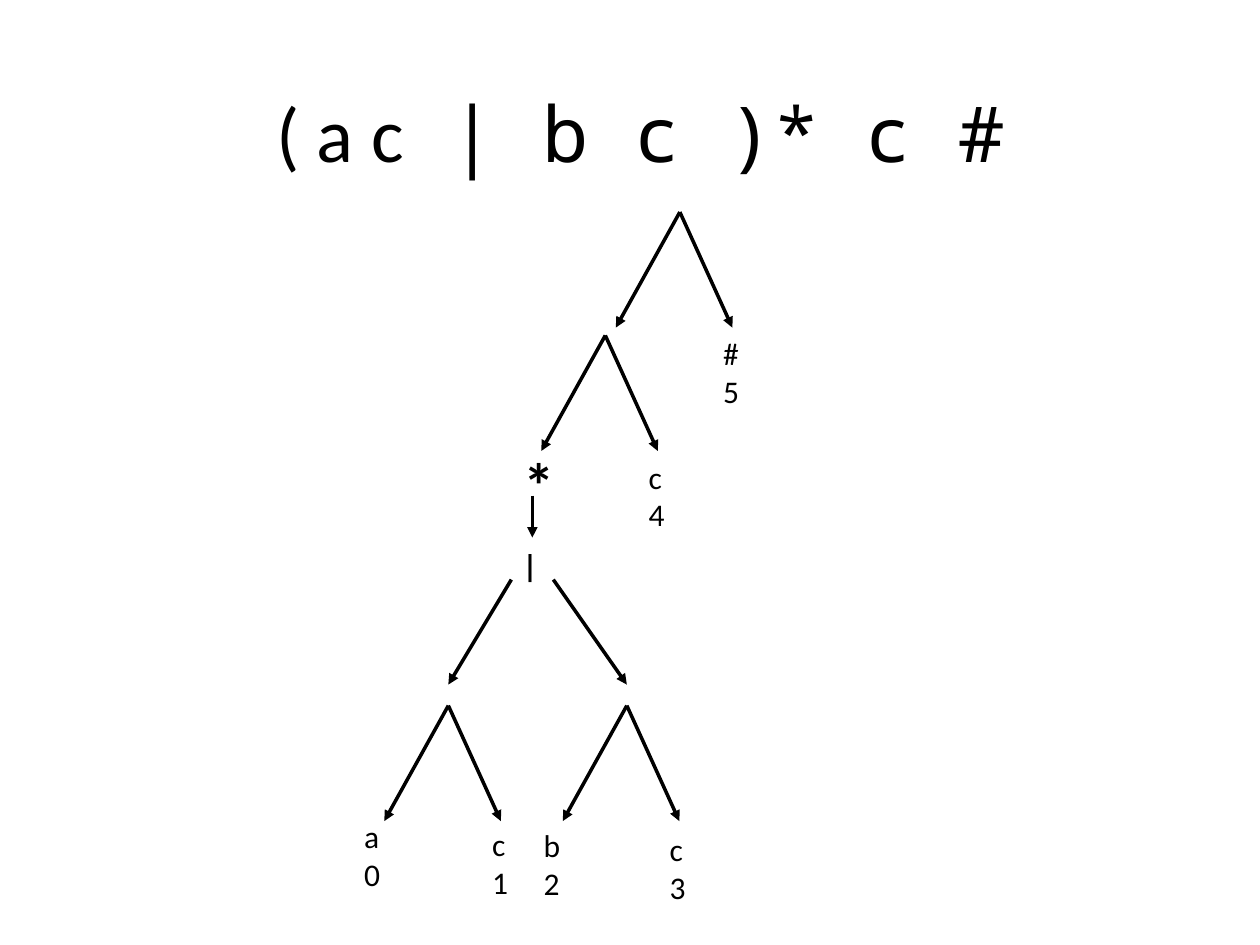
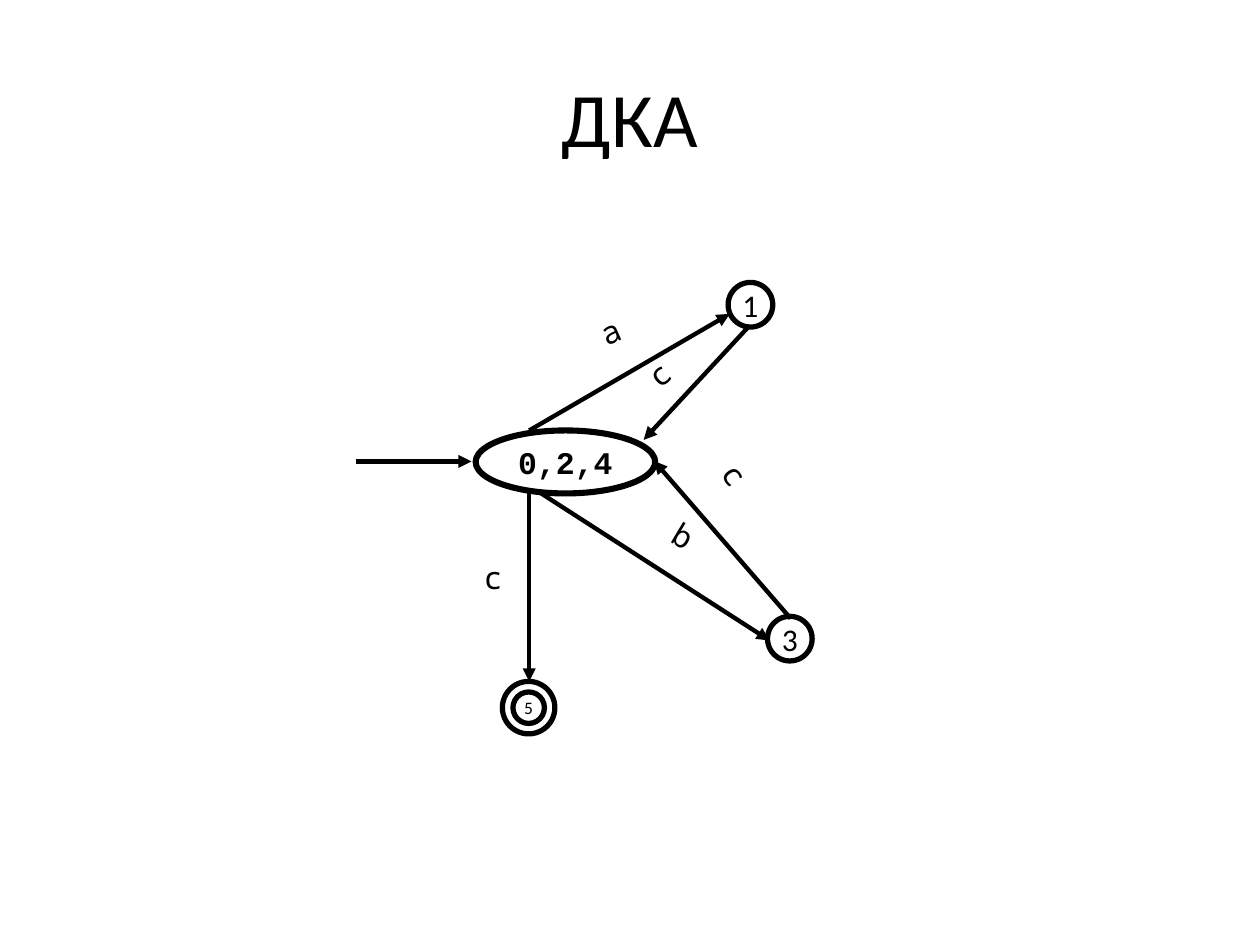
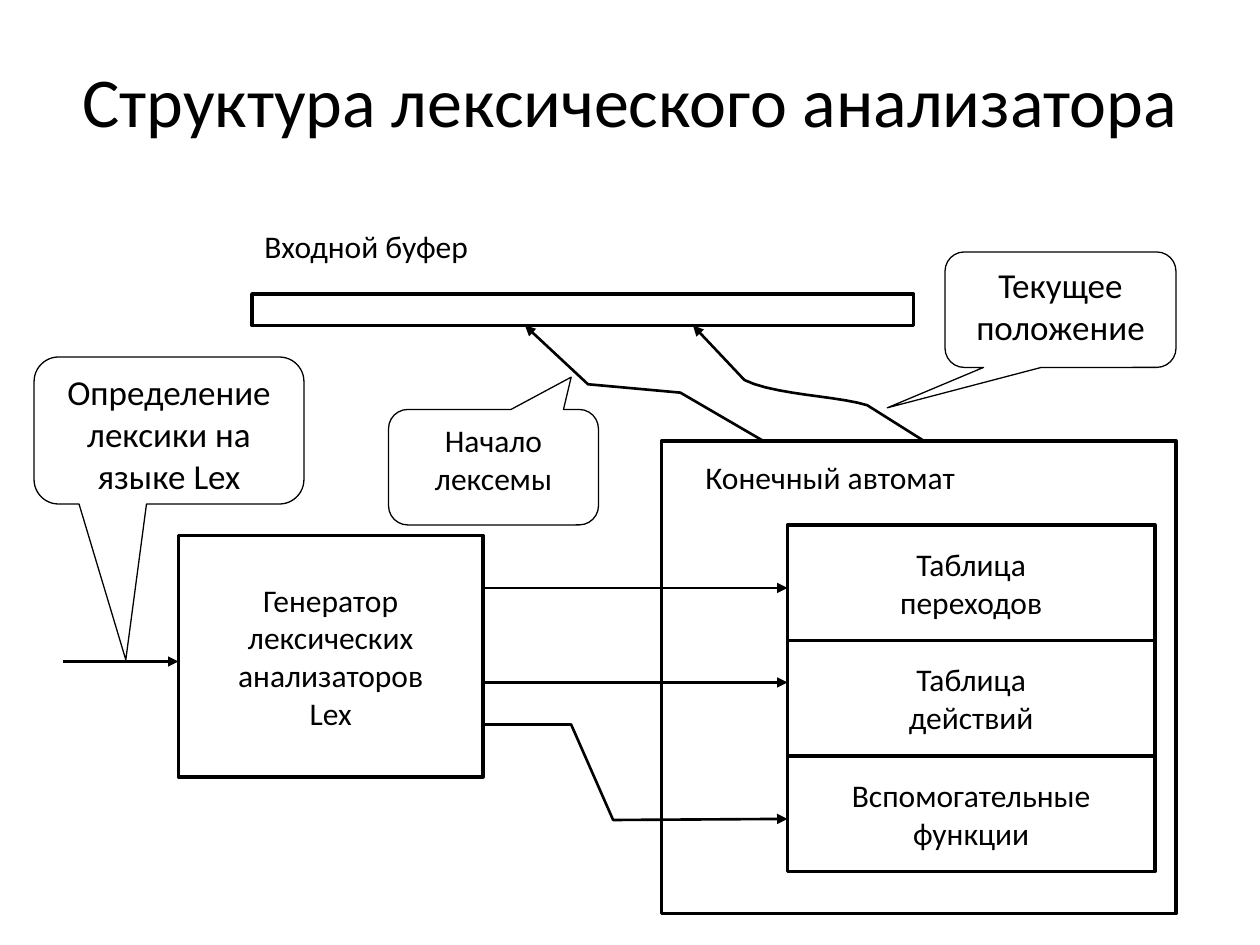
from dataclasses import dataclass

import pptx
import pptx.dml.color
import pptx.enum.shapes
import pptx.enum.text
import pptx.oxml
import pptx.oxml.ns
import pptx.util

SLIDE_WIDTH = pptx.util.Inches(10)
SLIDE_HEIGHT = pptx.util.Inches(7.5)
COLUMNS, ROWS = 120, 90
INK = "000000"
BODY_FONT = "Calibri"
MONO_FONT = "Noto Sans Mono"
STATE_FONT = "Courier New"
TITLE_WIDTH = 108
TEXT_ROWS = 4.8

Shapes = pptx.enum.shapes.MSO_SHAPE
Align = pptx.enum.text.PP_ALIGN
Anchor = pptx.enum.text.MSO_ANCHOR
Point = tuple[float, float]


@dataclass(frozen=True)
class Area:
    left: float
    top: float
    width: float
    height: float


@dataclass(frozen=True)
class Label:
    area: Area
    words: str
    size: float = 18
    font: str = BODY_FONT
    bold: bool = False
    centred: bool = False
    turn: float = 0


@dataclass(frozen=True)
class Node:
    area: Area
    words: str = ""
    kind: Shapes = Shapes.RECTANGLE
    weight: float = 2
    size: float = 18
    font: str = BODY_FONT
    bold: bool = False
    pointer: Point | None = None


@dataclass(frozen=True)
class Arrow:
    start: Point
    end: Point


def column(count: float) -> int:
    return round(SLIDE_WIDTH * count / COLUMNS)


def row(count: float) -> int:
    return round(SLIDE_HEIGHT * count / ROWS)


def frame_of(area: Area) -> tuple[int, int, int, int]:
    return column(area.left), row(area.top), column(area.width), row(area.height)


def color(code: str) -> pptx.dml.color.RGBColor:
    return pptx.dml.color.RGBColor.from_string(code)


def set_font(font, name: str, size: float, bold: bool = False) -> None:
    font.name = name
    font.size = pptx.util.Pt(size)
    font.bold = bold
    font.color.rgb = color(INK)


def set_line(shape, weight: float) -> None:
    shape.line.color.rgb = color(INK)
    shape.line.width = pptx.util.Pt(weight)


def add_head(shape) -> None:
    outline = shape.element.spPr.find(pptx.oxml.ns.qn("a:ln"))
    namespace = pptx.oxml.ns.nsdecls("a")
    outline.append(pptx.oxml.parse_xml(f'<a:tailEnd {namespace} type="triangle"/>'))


def draw_title(page, area: Area, size: float, *spans: tuple[str, str]) -> None:
    box = page.shapes.add_textbox(*frame_of(area))
    box.text_frame.word_wrap = True
    box.text_frame.vertical_anchor = Anchor.MIDDLE
    para = box.text_frame.paragraphs[0]
    para.alignment = Align.CENTER
    for words, font in spans:
        span = para.add_run()
        span.text = words
        set_font(span.font, font, size)


def draw_label(page, label: Label) -> None:
    box = page.shapes.add_textbox(*frame_of(label.area))
    box.rotation = label.turn
    box.text_frame.word_wrap = True
    para = box.text_frame.paragraphs[0]
    para.text = label.words
    para.alignment = Align.CENTER if label.centred else Align.LEFT
    set_font(para.font, label.font, label.size, label.bold)


def draw_node(page, node: Node) -> None:
    shape = page.shapes.add_shape(node.kind, *frame_of(node.area))
    shape.shadow.inherit = False
    shape.fill.background()
    set_line(shape, node.weight)
    if node.pointer:
        shape.adjustments[0], shape.adjustments[1] = node.pointer
    if not node.words:
        return
    frame = shape.text_frame
    frame.word_wrap = node.pointer is not None
    frame.vertical_anchor = Anchor.TOP if node.pointer else Anchor.MIDDLE
    para = frame.paragraphs[0]
    para.text = node.words
    para.alignment = Align.CENTER
    set_font(para.font, node.font, node.size, node.bold)


def draw_arrow(page, arrow: Arrow, weight: float) -> None:
    connector = page.shapes.add_connector(
        pptx.enum.shapes.MSO_CONNECTOR.STRAIGHT,
        column(arrow.start[0]), row(arrow.start[1]),
        column(arrow.end[0]), row(arrow.end[1]),
    )
    set_line(connector, weight)
    add_head(connector)
    namespace = pptx.oxml.ns.nsdecls("a")
    connector.element.spPr.append(pptx.oxml.parse_xml(f"<a:effectLst {namespace}/>"))


def draw_route(page, points: list[Point], weight: float) -> None:
    places = [(column(across), row(down)) for across, down in points]
    builder = page.shapes.build_freeform(*places[0])
    builder.add_line_segments(places[1:], close=False)
    shape = builder.convert_to_shape()
    shape.shadow.inherit = False
    shape.fill.background()
    set_line(shape, weight)
    add_head(shape)


def curve(start: Point, first: Point, second: Point, end: Point, steps: int = 10) -> list[Point]:
    points = []
    for step in range(steps + 1):
        share = step / steps
        rest = 1 - share
        weights = (rest**3, 3 * rest**2 * share, 3 * rest * share**2, share**3)
        corners = (start, first, second, end)
        points.append(tuple(
            sum(weight * corner[axis] for weight, corner in zip(weights, corners))
            for axis in (0, 1)
        ))
    return points


def fork(apex: Point) -> list[Arrow]:
    across, down = apex
    return [Arrow(apex, (across + shift, down + 11)) for shift in (-6.1, 5)]


def leaf(left: float, top: float, symbol: str, position: int) -> Label:
    return Label(Area(left, top, 7, 8.4), f"{symbol}\n{position}")


def edge_label(left: float, top: float, symbol: str, turn: float = 0, width: float = 5) -> Label:
    return Label(Area(left, top, width, TEXT_ROWS), symbol, font=MONO_FONT, turn=turn)


def state(left: float, top: float, size: float, words: str = "", text_size: float = 18) -> Node:
    return Node(Area(left, top, size, size), words, Shapes.OVAL, 3, text_size)


def callout(area: Area, words: str, pointer: Point, size: float = 20) -> Node:
    return Node(area, words, Shapes.ROUNDED_RECTANGULAR_CALLOUT, 0.75, size, pointer=pointer)


def build_tree(page) -> None:
    draw_title(page, Area(7, 5, TITLE_WIDTH, 15), 44,
               ("( a c", BODY_FONT), (" | b c )* c #", MONO_FONT))
    apexes = [(64.75, 20.2), (57.65, 31.95), (42.7, 67.2), (59.7, 67.2)]
    branches = [arrow for apex in apexes for arrow in fork(apex)]
    branches += [
        Arrow((48.7, 55.2), (42.7, 65.2)),
        Arrow((52.7, 55.2), (59.7, 65.2)),
        Arrow((50.7, 47.2), (50.7, 51.2)),
    ]
    for branch in branches:
        draw_arrow(page, branch, 2)
    labels = [
        leaf(67.7, 31.2, "#", 5),
        leaf(60.6, 43, "c", 4),
        leaf(62.6, 78.5, "c", 3),
        leaf(50.6, 78.1, "b", 2),
        leaf(45.7, 78, "c", 1),
        leaf(33.5, 77.2, "a", 0),
        Label(Area(48.7, 41.8, 7, 8.4), "*", size=36, bold=True),
        Label(Area(47, 51.4, 7, TEXT_ROWS), "|", bold=True, centred=True),
    ]
    for label in labels:
        draw_label(page, label)


def build_automaton(page) -> None:
    draw_title(page, Area(6, 3.6, TITLE_WIDTH, 15), 44, ("ДКА", BODY_FONT))
    states = [
        Node(Area(45.3, 41, 17.1, 6), "0,2,4", Shapes.OVAL, 3.5, font=STATE_FONT, bold=True),
        state(47.85, 64.9, 5, "5", 10),
        state(48.85, 65.9, 3),
        state(69.35, 26.9, 4.25, "1"),
        state(73.1, 58.7, 4.25, "3"),
    ]
    for node in states:
        draw_node(page, node)
    transitions = [
        Arrow((50.4, 41), (69.5, 29.9)),
        Arrow((75.3, 58.9), (62.3, 43.9)),
        Arrow((71.4, 31), (61.3, 41.9)),
        Arrow((50.4, 46.9), (50.4, 64.9)),
        Arrow((51.4, 46.9), (73.3, 61)),
        Arrow((33.9, 43.95), (44.9, 43.95)),
    ]
    for transition in transitions:
        draw_arrow(page, transition, 2.5)
    symbols = [
        edge_label(44.9, 52.6, "c"),
        edge_label(56, 29, "a", -23.9),
        edge_label(62.8, 49.4, "b", 31, 7),
        edge_label(60.6, 32.9, "c", -39.4),
        edge_label(67.8, 43.2, "c", 54.3),
    ]
    for symbol in symbols:
        draw_label(page, symbol)


def build_analyzer(page) -> None:
    draw_title(page, Area(6, 0.8, TITLE_WIDTH, 17.3), 40,
               ("Структура лексического анализатора", BODY_FONT))
    tables = ["Таблица\nпереходов", "Таблица\nдействий", "Вспомогательные\nфункции"]
    blocks = [Node(Area(24, 28, 63, 3)), Node(Area(63, 42, 49, 45))]
    blocks += [Node(Area(75, 50 + 11 * place, 35, 11), words) for place, words in enumerate(tables)]
    blocks.append(Node(Area(17, 51, 29, 23), "Генератор\nлексических\nанализаторов\nLex"))
    for block in blocks:
        draw_node(page, block)
    draw_label(page, Label(Area(24, 21, 42, TEXT_ROWS), "Входной буфер"))
    draw_label(page, Label(Area(66, 43, 43, TEXT_ROWS), "Конечный автомат"))
    for start, end, level in [(6, 17, 63), (46, 75, 56), (46, 75, 65)]:
        draw_arrow(page, Arrow((start, level), (end, level)), 1.5)
    helper_route = [(46, 69), (54.4, 69), (58.4, 78.1), (75, 78)]
    lexeme_start = [(72.7, 42), (64.8, 37.4), (56, 36.6), (50, 31)]
    current_place = [(88, 42)]
    current_place += curve((82.6, 38.6), (79.7, 37.7), (73.7, 37.6), (70.9, 36.2))
    current_place.append((66, 31))
    for route in (helper_route, lexeme_start, current_place):
        draw_route(page, route, 1.5)
    callouts = [
        callout(Area(90, 24, 22, 11), "Текущее положение", (-0.75, 0.85)),
        callout(Area(37, 39, 20, 11), "Начало лексемы", (0.37, -0.78), 18),
        callout(Area(3.25, 34, 25.7, 14), "Определение лексики на языке Lex", (-0.16, 1.56)),
    ]
    for note in callouts:
        draw_node(page, note)


def main() -> None:
    deck = pptx.Presentation()
    deck.slide_width = SLIDE_WIDTH
    deck.slide_height = SLIDE_HEIGHT
    for build in (build_tree, build_automaton, build_analyzer):
        build(deck.slides.add_slide(deck.slide_layouts[6]))
    deck.save("out.pptx")


if __name__ == "__main__":
    main()
